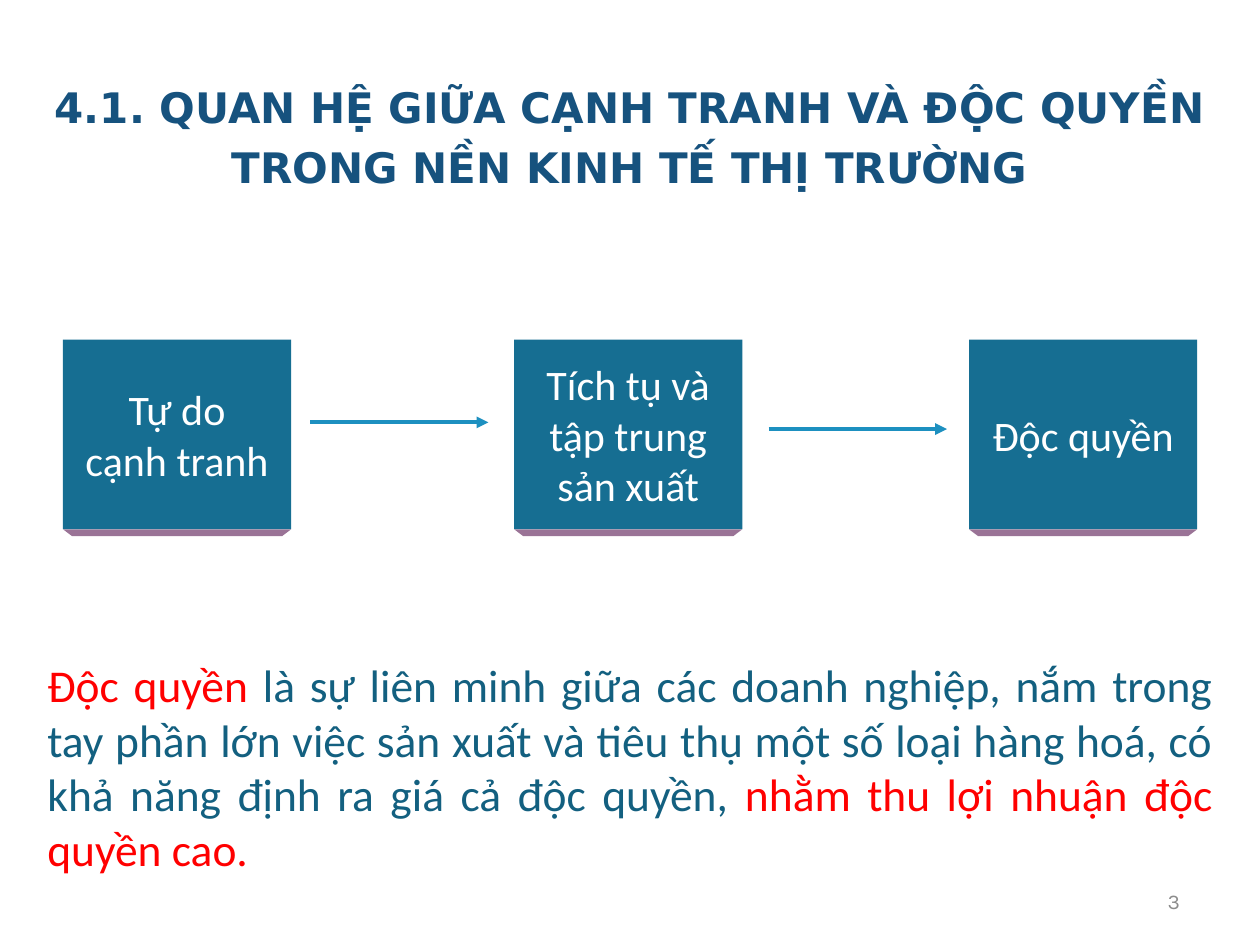
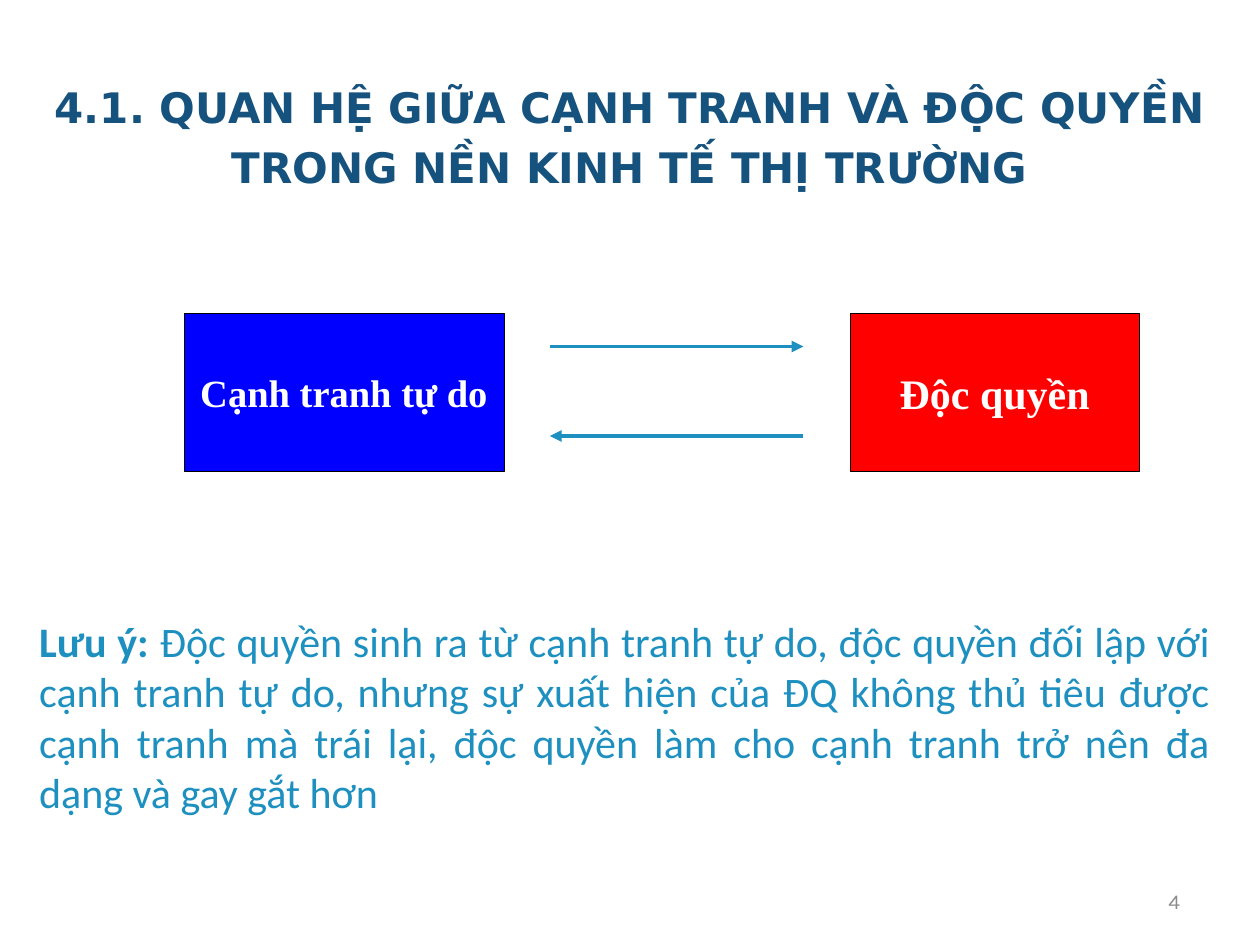
from lxml import etree
from pptx import Presentation
from pptx.dml.color import RGBColor
from pptx.enum.shapes import MSO_CONNECTOR, MSO_SHAPE
from pptx.enum.text import MSO_ANCHOR as Anchor, PP_ALIGN as Align
from pptx.oxml.ns import qn
from pptx.util import Cm, Pt

WHITE = RGBColor(0xFF, 0xFF, 0xFF)
BLACK = RGBColor(0x00, 0x00, 0x00)
RED = RGBColor(0xFF, 0x00, 0x00)
BLUE = RGBColor(0x00, 0x00, 0xFF)
SKY = RGBColor(0x1D, 0x90, 0xC0)
TEAL = RGBColor(0x13, 0x60, 0x80)
BLOCK_FACE = RGBColor(0x16, 0x6E, 0x92)
BLOCK_EDGE = RGBColor(0x9A, 0x73, 0x96)
NAVY = RGBColor(0x16, 0x52, 0x7E)
GREY = RGBColor(0x8C, 0x8C, 0x8C)

BODY_FONT = "Calibri"
TITLE_FONT = "DejaVu Sans"
BOX_FONT = "Times New Roman"
NUMBER_FONT = "Karla"

TITLE = ["4.1. QUAN HỆ GIỮA CẠNH TRANH VÀ ĐỘC QUYỀN",
         "TRONG NỀN KINH TẾ THỊ TRƯỜNG"]
WIDE_INSETS = (0.51, 0.25)


class Deck:
    """Holds the shared style and the slide being filled."""

    def __init__(self):
        self.presentation = Presentation()
        self.presentation.slide_width = Cm(50.8)
        self.presentation.slide_height = Cm(38.1)
        self.slide = None

    def add_slide(self, number):
        layout = self.presentation.slide_layouts[6]
        self.slide = self.presentation.slides.add_slide(layout)
        self.text(1.4, 2.74, 48, 6.35, [[(line, NAVY, True)] for line in TITLE],
                  TITLE_FONT, 48, Align.CENTER, spacing=1.2)
        self.text(36.4, 35.31, 11.86, 2.03, [[(str(number), GREY, False)]],
                  NUMBER_FONT, 24, Align.RIGHT, (0.68, 0.34), Anchor.MIDDLE)

    def fill_text(self, shape, paragraphs, font, size, align,
                  insets=(0.25, 0.13), anchor=Anchor.TOP, spacing=None):
        """Fill a shape; each paragraph is a list of (text, colour, bold)."""
        frame = shape.text_frame
        frame.word_wrap = True
        frame.vertical_anchor = anchor
        frame.margin_left = frame.margin_right = Cm(insets[0])
        frame.margin_top = frame.margin_bottom = Cm(insets[1])
        for index, runs in enumerate(paragraphs):
            paragraph = frame.add_paragraph() if index else frame.paragraphs[0]
            paragraph.alignment = align
            if spacing:
                paragraph.line_spacing = spacing
            for text, colour, bold in runs:
                run = paragraph.add_run()
                run.text = text
                run.font.name = font
                run.font.size = Pt(size)
                run.font.bold = bold
                run.font.color.rgb = colour

    def text(self, left, top, width, height, *content, **options):
        shape = self.slide.shapes.add_textbox(
            Cm(left), Cm(top), Cm(width), Cm(height))
        self.fill_text(shape, *content, **options)

    def box(self, left, top, width, height, fill, lines, font, size,
            bold=False, outline=None):
        shape = self.slide.shapes.add_shape(
            MSO_SHAPE.RECTANGLE, Cm(left), Cm(top), Cm(width), Cm(height))
        self.paint(shape, fill)
        if outline is not None:
            shape.line.color.rgb = outline
            shape.line.width = Pt(0.75)
        self.fill_text(shape, [[(line, WHITE, bold)] for line in lines],
                       font, size, Align.CENTER, anchor=Anchor.MIDDLE)

    def paint(self, shape, fill):
        shape.shadow.inherit = False
        shape.fill.solid()
        shape.fill.fore_color.rgb = fill
        shape.line.fill.background()

    def block(self, left, lines):
        """A box standing on a thin bevelled edge."""
        top, width, height, depth, bevel = 13.69, 9.2, 7.65, 0.28, 0.37
        bottom, right = top + height, left + width
        builder = self.slide.shapes.build_freeform(Cm(left), Cm(bottom))
        builder.add_line_segments([
            (Cm(right), Cm(bottom)),
            (Cm(right - bevel), Cm(bottom + depth)),
            (Cm(left + bevel), Cm(bottom + depth))])
        self.paint(builder.convert_to_shape(), BLOCK_EDGE)
        self.box(left, top, width, height, BLOCK_FACE, lines, BODY_FONT, 48)

    def arrow(self, start, end, y):
        connector = self.slide.shapes.add_connector(
            MSO_CONNECTOR.STRAIGHT, Cm(start), Cm(y), Cm(end), Cm(y))
        connector.line.color.rgb = SKY
        connector.line.width = Pt(4.5)
        properties = connector._element.spPr
        etree.SubElement(properties.find(qn("a:ln")), qn("a:tailEnd"),
                         type="triangle")
        etree.SubElement(properties, qn("a:effectLst"))


def add_formation_slide(deck):
    deck.add_slide(3)
    deck.text(1.4, 26.24, 48, 9.4, [[
        ("Độc quyền ", RED, False),
        ("là sự liên minh giữa các doanh nghiệp, nắm trong tay phần lớn việc "
         "sản xuất và tiêu thụ một số loại hàng hoá, có khả năng định ra giá "
         "cả độc quyền, ", TEAL, False),
        ("nhằm thu lợi nhuận độc quyền cao.", RED, False),
    ]], BODY_FONT, 52, Align.JUSTIFY, WIDE_INSETS)
    for left, lines in [
        (2.54, ["Tự do", "cạnh tranh"]),
        (20.73, ["Tích tụ và", "tập trung", "sản xuất"]),
        (39.07, ["Độc quyền"]),
    ]:
        deck.block(left, lines)
    deck.arrow(12.5, 19.69, 17.03)
    deck.arrow(30.99, 38.18, 17.3)


def add_interaction_slide(deck):
    deck.add_slide(4)
    for left, width, fill, label, size in [
        (7.42, 12.9, BLUE, "Cạnh tranh tự do", 44),
        (34.29, 11.63, RED, "Độc quyền", 48),
    ]:
        deck.box(left, 12.65, width, 6.35, fill, [label], BOX_FONT, size,
                 bold=True, outline=BLACK)
    deck.text(1.07, 24.56, 48.26, 8.71, [[
        ("Lưu ý: ", SKY, True),
        ("Độc quyền sinh ra từ cạnh tranh tự do, độc quyền đối lập với cạnh "
         "tranh tự do, nhưng sự xuất hiện của ĐQ không thủ tiêu được cạnh "
         "tranh mà trái lại, độc quyền làm cho cạnh tranh trở nên đa dạng và "
         "gay gắt hơn", SKY, False),
    ]], BODY_FONT, 48, Align.JUSTIFY, WIDE_INSETS)
    deck.arrow(22.17, 32.39, 13.97)
    deck.arrow(32.39, 22.17, 17.58)


def main():
    deck = Deck()
    add_formation_slide(deck)
    add_interaction_slide(deck)
    deck.presentation.save("out.pptx")


if __name__ == "__main__":
    main()
